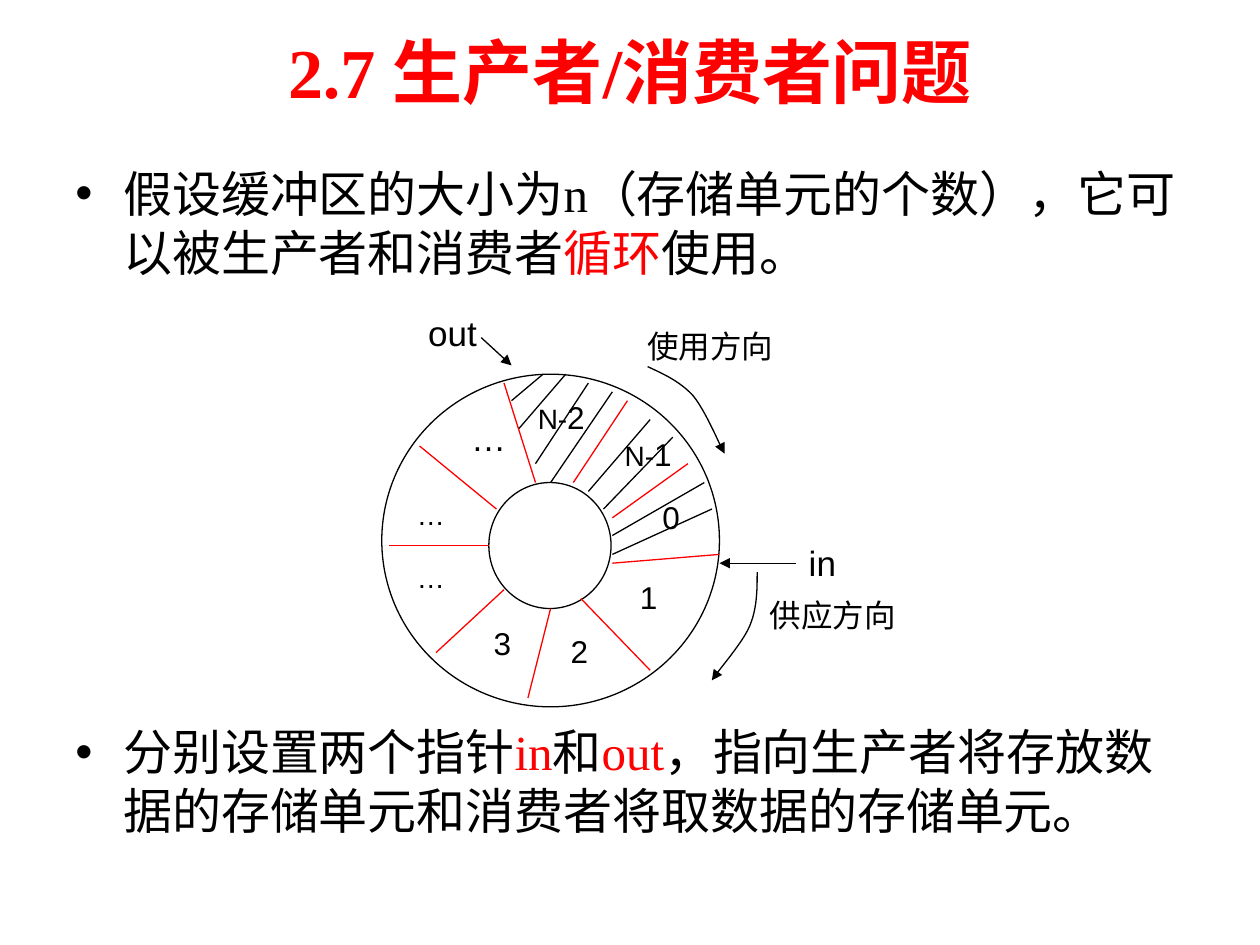
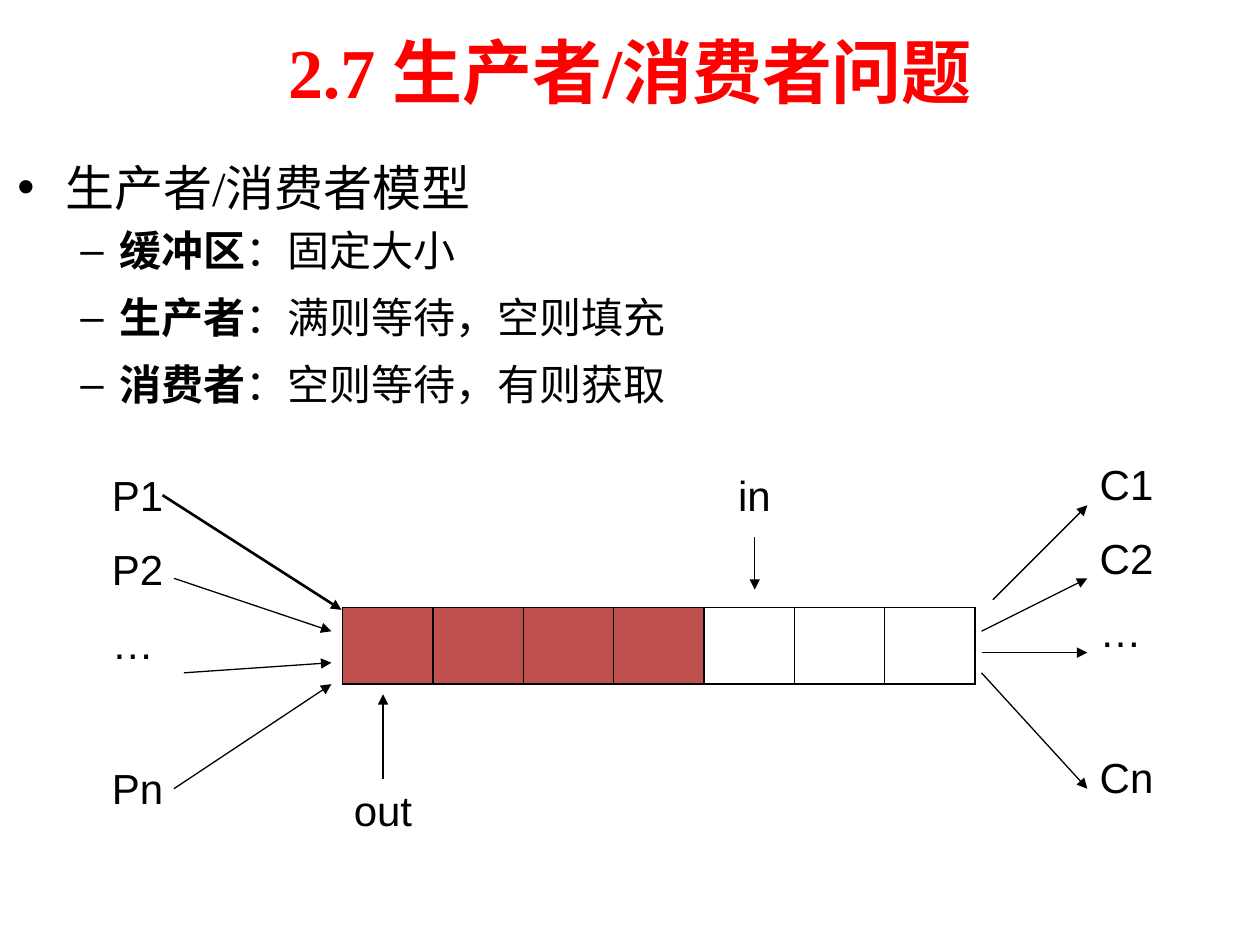
import lxml.etree
import pptx
import pptx.dml.color
import pptx.enum.shapes
import pptx.enum.text
import pptx.oxml.ns
import pptx.util
from dataclasses import dataclass
from pptx.util import Inches


@dataclass(frozen=True)
class Theme:
    black: str = "000000"
    white: str = "FFFFFF"
    title_red: str = "FF0000"
    accent_red: str = "FE0000"
    filled: str = "C0504D"
    serif: str = "Times New Roman"
    sans: str = "Arial"
    cjk: str = "Noto Sans CJK SC"
    title_size: int = 40
    body_size: int = 28
    sub_size: int = 24
    pointer_size: int = 20
    label_size: int = 18
    small_size: int = 16
    thin: float = 0.75
    thick: float = 1.5
    line_height: float = 1.2


THEME = Theme()
TITLE = "2.7 生产者/消费者问题"

RING_NOTES = [
    ((0.5, 1.25, 9, 1.2), [("假设缓冲区的大小为n（存储单元的个数），它可以被生产者和消费者", False),
                           ("循环", True), ("使用。", False)]),
    ((0.5, 5.68, 9, 1.2), [("分别设置两个指针", False), ("in", True), ("和", False), ("out", True),
                           ("，指向生产者将存放数据的存储单元和消费者将取数据的存储单元。", False)]),
]
RING_CIRCLES = [(3.03, 2.97, 2.68, 2.64), (3.88, 3.83, 0.97, 1)]
CELL_BORDERS = [
    (4.61, 4.75, 5.16, 5.32), (4.37, 4.83, 4.19, 5.54), (3.88, 4.33, 3.09, 4.33),
    (4, 3.04, 4.25, 3.83), (4.55, 3.83, 4.98, 3.18), (4.86, 4.47, 5.71, 4.4),
    (4, 4.68, 3.46, 5.18), (3.94, 4.04, 3.33, 3.54), (4.86, 4.11, 5.46, 3.68),
]
FULL_HATCHING = [
    (4.31, 2.97, 4.06, 3.18), (4.49, 2.97, 4.12, 3.4), (4.67, 3.04, 4.25, 3.68),
    (4.86, 3.11, 4.37, 3.83), (5.16, 3.33, 4.67, 3.9), (5.34, 3.47, 4.79, 4.04),
    (5.59, 3.83, 4.86, 4.25), (5.65, 4.04, 4.86, 4.4),
]
POINTER_ARROWS = [(6.32, 4.47, 5.71, 4.47), (3.82, 2.68, 4.06, 2.9)]
DIRECTION_CURVES = [
    [(6.01, 4.54), (6.01, 4.68), (6.01, 4.83), (5.95, 4.97), (5.89, 5.11), (5.7, 5.32), (5.65, 5.4)],
    [(5.14, 2.91), (5.27, 2.97), (5.4, 3.03), (5.5, 3.14), (5.6, 3.26), (5.71, 3.53), (5.75, 3.6)],
]
RING_LABELS = [
    ((4.98, 4.54, 0.37, 0.49), [("1", THEME.label_size)]),
    ((4.43, 4.97, 0.37, 0.49), [("2", THEME.label_size)]),
    ((3.82, 4.9, 0.37, 0.49), [("3", THEME.label_size)]),
    ((3.21, 4.4, 0.55, 0.32), [("…", THEME.small_size)]),
    ((3.21, 3.9, 0.55, 0.32), [("…", THEME.small_size)]),
    ((3.64, 3.26, 0.5, 0.37), [("…", THEME.pointer_size)]),
    ((4.17, 3.11, 1.1, 0.4), [("N-", THEME.small_size), ("2", THEME.label_size)]),
    ((4.86, 3.4, 0.79, 0.4), [("N-", THEME.small_size), ("1", THEME.label_size)]),
    ((5.16, 3.9, 0.37, 0.49), [("0", THEME.label_size)]),
    ((6.32, 4.25, 0.49, 0.37), [("in", THEME.pointer_size)]),
    ((3.3, 2.42, 0.98, 0.44), [("out", THEME.pointer_size)]),
    ((5.04, 2.55, 1.46, 0.4), [("使用方向", THEME.label_size)]),
    ((6.01, 4.68, 1.43, 0.4), [("供应方向", THEME.label_size)]),
]

MODEL_HEADING = "生产者/消费者模型"
MODEL_RULES = [("缓冲区", "：固定大小"), ("生产者", "：满则等待，空则填充"), ("消费者", "：空则等待，有则获取")]
PARTIES = [
    ((0.79, 3.68, 0.75, 2.93), ["P1", "P2", "…", "Pn"]),
    ((8.63, 3.59, 0.83, 2.93), ["C1", "C2", "…", "Cn"]),
]
FIRST_PRODUCER_ARROW = (1.29, 3.93, 2.71, 4.84)
MODEL_ARROWS = [
    (1.38, 4.59, 2.63, 5.01), (1.46, 5.34, 2.63, 5.26), (1.38, 6.26, 2.63, 5.43),
    (7.88, 4.76, 8.63, 4.01), (7.79, 5.01, 8.63, 4.59), (7.79, 5.18, 8.63, 5.18),
    (7.79, 5.34, 8.63, 6.26), (5.99, 4.26, 5.99, 4.68), (3.04, 6.18, 3.04, 5.51),
]
MODEL_POINTERS = [
    ((5.76, 3.68, 0.5, 0.5), [("in", THEME.sub_size)]),
    ((2.71, 6.18, 1, 0.5), [("out", THEME.sub_size)]),
]
BUFFER_BOX = (2.72, 4.82, 5.02, 0.61)
BUFFER_CELLS, BUFFER_FILLED = 7, 4


def rgb(color):
    return pptx.dml.color.RGBColor.from_string(color)


def inches(values):
    return [Inches(value) for value in values]


def add_xml(parent, tag, **attributes):
    return lxml.etree.SubElement(parent, pptx.oxml.ns.qn(tag), attributes)


def style_font(font, size, name, color=THEME.black, bold=False):
    font.size = pptx.util.Pt(size)
    font.name = name
    font.bold = bold
    font.color.rgb = rgb(color)


def add_frame(slide, box):
    frame = slide.shapes.add_textbox(*inches(box)).text_frame
    frame.word_wrap = True
    return frame


def add_run(paragraph, text):
    run = paragraph.add_run()
    run.text = text
    return run


def set_bullet(paragraph, size, mark, margin, hanging):
    paragraph.line_spacing = pptx.util.Pt(size * THEME.line_height)
    properties = paragraph._p.get_or_add_pPr()
    properties.set("marL", str(Inches(margin)))
    properties.set("indent", str(-Inches(hanging)))
    add_xml(properties, "a:buFont", typeface=THEME.sans)
    add_xml(properties, "a:buChar", char=mark)


def add_title(slide):
    frame = add_frame(slide, (0.5, 0.05, 9, 1.02))
    frame.vertical_anchor = pptx.enum.text.MSO_ANCHOR.MIDDLE
    heading = frame.paragraphs[0]
    heading.text = TITLE
    heading.alignment = pptx.enum.text.PP_ALIGN.CENTER
    style_font(heading.font, THEME.title_size, THEME.serif, THEME.title_red, True)


def add_label(slide, box, parts):
    label = add_frame(slide, box).paragraphs[0]
    style_font(label.font, parts[0][1], THEME.sans)
    for text, size in parts:
        run = add_run(label, text)
        if len(parts) > 1:
            run.font.size = pptx.util.Pt(size)


def style_line(shape, color, width, arrow):
    shape.line.color.rgb = rgb(color)
    shape.line.width = pptx.util.Pt(width)
    if arrow:
        add_xml(shape.line._get_or_add_ln(), "a:tailEnd", type="triangle")


def add_line(slide, ends, color=THEME.black, width=THEME.thin, arrow=False):
    line = slide.shapes.add_connector(pptx.enum.shapes.MSO_CONNECTOR.STRAIGHT, *inches(ends))
    style_line(line, color, width, arrow)
    add_xml(line._element.spPr, "a:effectLst")


def style_outline(shape, arrow=False):
    shape.fill.background()
    style_line(shape, THEME.black, THEME.thin, arrow)
    shape.shadow.inherit = False


def bezier(start, first, second, end, steps=12):
    for step in range(1, steps + 1):
        t = step / steps
        weights = ((1 - t) ** 3, 3 * t * (1 - t) ** 2, 3 * t * t * (1 - t), t ** 3)
        yield tuple(Inches(sum(w * value for w, value in zip(weights, axis)))
                    for axis in zip(start, first, second, end))


def add_curve(slide, knots):
    builder = slide.shapes.build_freeform(*inches(knots[0]))
    for index in range(0, len(knots) - 1, 3):
        builder.add_line_segments(list(bezier(*knots[index:index + 4])), close=False)
    style_outline(builder.convert_to_shape(), arrow=True)


def build_ring(slide):
    add_title(slide)
    for box, parts in RING_NOTES:
        note = add_frame(slide, box).paragraphs[0]
        set_bullet(note, THEME.body_size, "•", 0.38, 0.38)
        style_font(note.font, THEME.body_size, THEME.serif)
        for text, accented in parts:
            run = add_run(note, text)
            if accented:
                run.font.color.rgb = rgb(THEME.accent_red)
    for box in RING_CIRCLES:
        style_outline(slide.shapes.add_shape(pptx.enum.shapes.MSO_SHAPE.OVAL, *inches(box)))
    for ends in CELL_BORDERS:
        add_line(slide, ends, THEME.title_red)
    for box, parts in RING_LABELS:
        add_label(slide, box, parts)
    for ends in POINTER_ARROWS:
        add_line(slide, ends, arrow=True)
    for ends in FULL_HATCHING:
        add_line(slide, ends)
    for knots in DIRECTION_CURVES:
        add_curve(slide, knots)


def add_parties(slide, box, names):
    frame = add_frame(slide, box)
    gap = 13.3
    for index, name in enumerate(names):
        party = frame.add_paragraph() if index else frame.paragraphs[0]
        party.text = name
        style_font(party.font, THEME.sub_size, THEME.sans)
        if index:
            last = index == len(names) - 1
            party.space_before = pptx.util.Pt(2 * gap + 27.6 if last else gap)


def add_buffer(slide):
    table = slide.shapes.add_table(1, BUFFER_CELLS, *inches(BUFFER_BOX)).table
    table.first_row = table.horz_banding = False
    for index, cell in enumerate(table.iter_cells()):
        properties = cell._tc.get_or_add_tcPr()
        for side in ("a:lnL", "a:lnR", "a:lnT", "a:lnB"):
            border = add_xml(properties, side, w=str(pptx.util.Pt(1)))
            add_xml(add_xml(border, "a:solidFill"), "a:srgbClr", val=THEME.black)
        cell.fill.solid()
        cell.fill.fore_color.rgb = rgb(THEME.filled if index < BUFFER_FILLED else THEME.white)


def build_model(slide):
    add_title(slide)
    frame = add_frame(slide, (0.04, 1.2, 9, 2.2))
    heading = frame.paragraphs[0]
    heading.text = MODEL_HEADING
    set_bullet(heading, THEME.body_size, "•", 0.38, 0.38)
    style_font(heading.font, THEME.body_size, THEME.serif)
    for role, behaviour in MODEL_RULES:
        rule = frame.add_paragraph()
        rule.level = 1
        rule.space_before = rule.space_after = pptx.util.Pt(THEME.sub_size * 0.2)
        set_bullet(rule, THEME.sub_size, "–", 0.81, 0.31)
        style_font(rule.font, THEME.sub_size, THEME.cjk)
        add_run(rule, role).font.bold = True
        add_run(rule, behaviour)
    add_line(slide, FIRST_PRODUCER_ARROW, width=THEME.thick, arrow=True)
    for ends in MODEL_ARROWS:
        add_line(slide, ends, arrow=True)
    for box, names in PARTIES:
        add_parties(slide, box, names)
    for box, parts in MODEL_POINTERS:
        add_label(slide, box, parts)
    add_buffer(slide)


def main():
    deck = pptx.Presentation()
    deck.slide_width, deck.slide_height = Inches(10), Inches(7.5)
    for build in (build_ring, build_model):
        build(deck.slides.add_slide(deck.slide_layouts[6]))
    deck.save("out.pptx")


if __name__ == "__main__":
    main()
